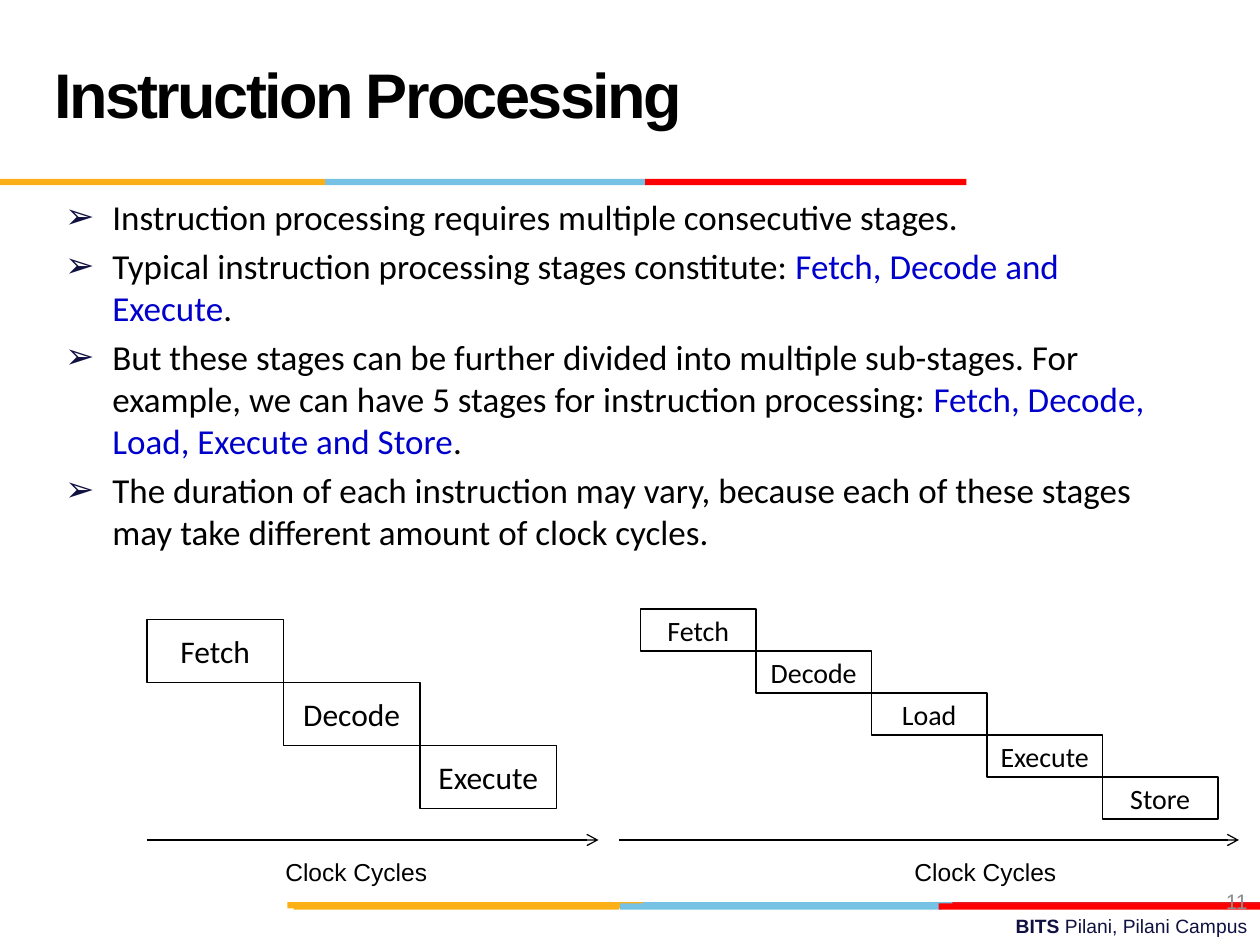
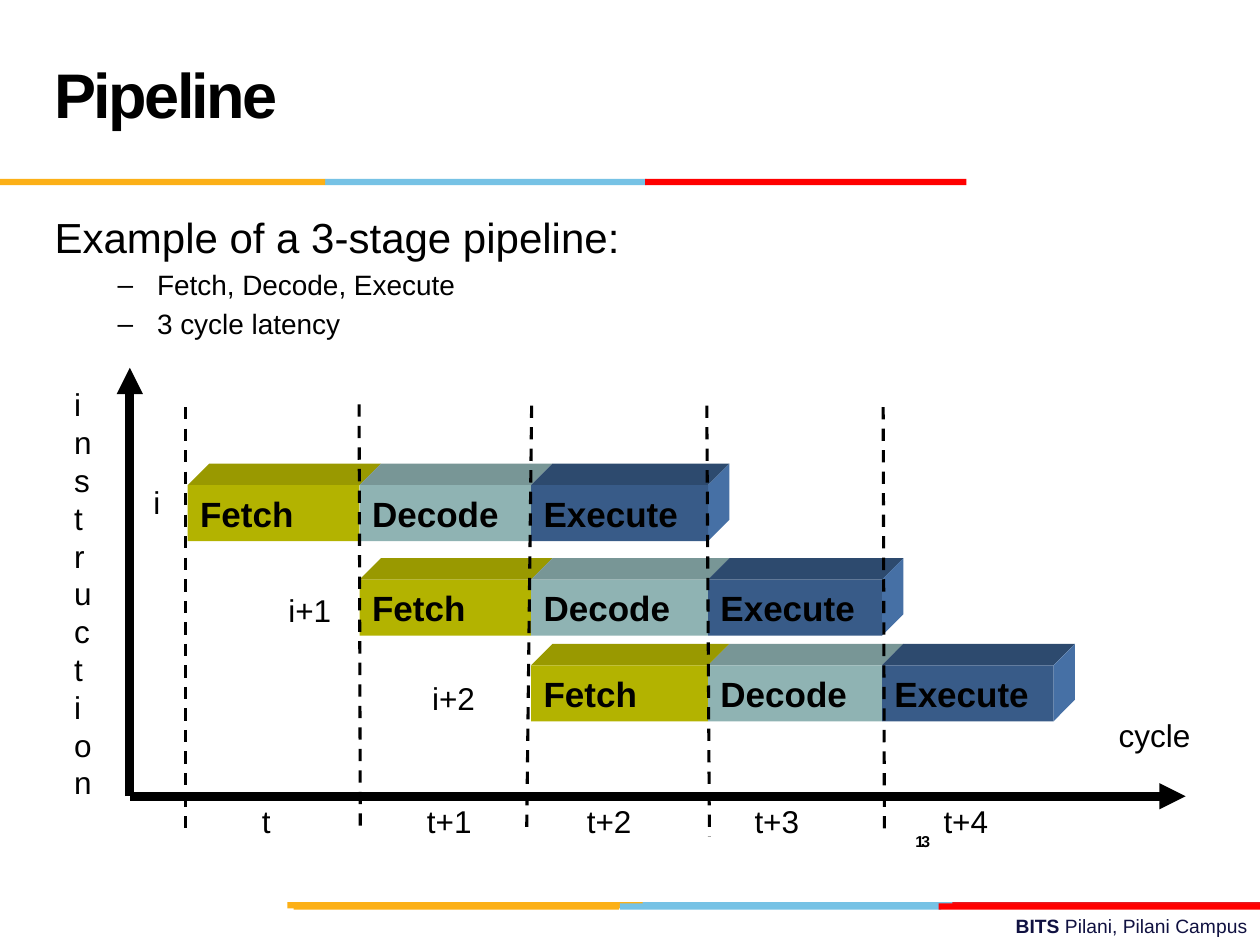
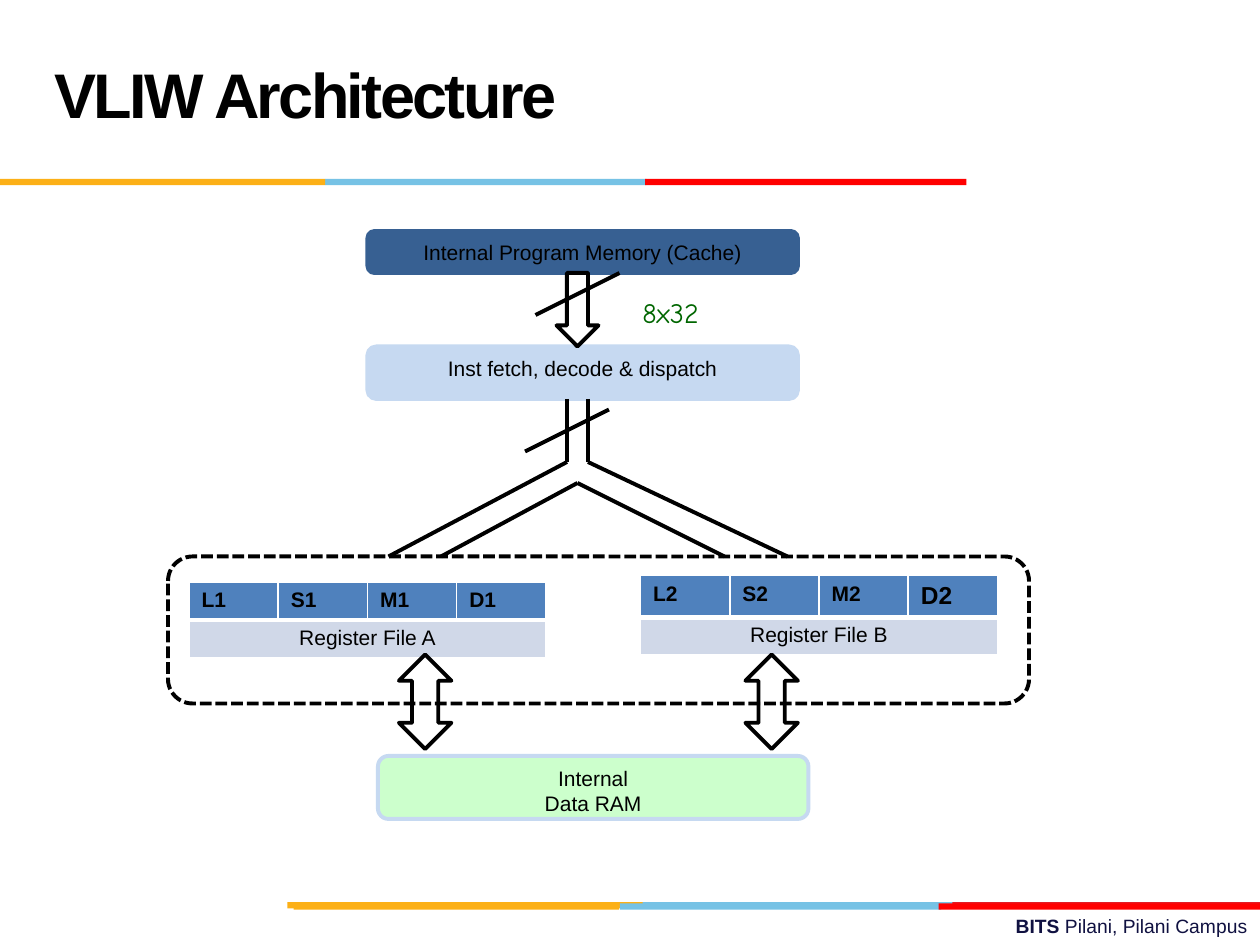
from dataclasses import dataclass, replace
from typing import NamedTuple

from lxml.etree import SubElement
from pptx import Presentation
from pptx.dml.color import RGBColor as RGB
from pptx.enum.dml import MSO_LINE as DASH
from pptx.enum.shapes import MSO_CONNECTOR as CONN, MSO_SHAPE as SHAPE
from pptx.enum.text import MSO_ANCHOR as ANCHOR, MSO_AUTO_SIZE as FIT, PP_ALIGN as ALIGN
from pptx.oxml.ns import qn
from pptx.util import Pt


@dataclass(frozen=True)
class Style:
    size: float
    color: RGB = RGB(0, 0, 0)
    bold: bool = False
    font: str = "Arial"
    tracking: int = 0


@dataclass(frozen=True)
class Theme:
    black: RGB = RGB(0, 0, 0)
    white: RGB = RGB(255, 255, 255)
    navy: RGB = RGB.from_string("101141")
    gold: RGB = RGB.from_string("FCB017")
    sky: RGB = RGB.from_string("76C2E5")
    red: RGB = RGB.from_string("FF0000")
    crimson: RGB = RGB.from_string("E31C24")
    memory: RGB = RGB.from_string("376092")
    dispatch: RGB = RGB.from_string("C6D9F1")
    ram: RGB = RGB.from_string("CCFFCC")
    unit: RGB = RGB.from_string("4F81BD")
    register: RGB = RGB.from_string("D0D8E8")
    title: Style = Style(36, bold=True, tracking=-150)
    footer: Style = Style(11, RGB.from_string("101141"))
    number: Style = Style(12, RGB.from_string("8C8C8C"))
    small_number: Style = Style(9, bold=True, tracking=-150)
    body: Style = Style(20, font="Calibri")
    accent: Style = Style(20, RGB.from_string("0000CC"), font="Calibri")
    lead: Style = Style(24)
    sub: Style = Style(16)
    stage: Style = Style(18, font="Calibri")
    small_stage: Style = Style(16, font="Calibri")
    axis: Style = Style(18)
    caption: Style = Style(14)
    block: Style = Style(20, bold=True)
    diagram: Style = Style(12)
    bus: Style = Style(16, RGB.from_string("006600"), font="Comic Neue")


T = Theme()


class Box(NamedTuple):
    x: float
    y: float
    w: float
    h: float

    def pts(self):
        return [Pt(v) for v in self]


class Item(NamedTuple):
    runs: list
    bullet: str = ""
    level: int = 0
    left: float = 27
    hang: float = 27
    before: float = 0


class Stage(NamedTuple):
    name: str
    front: RGB
    top: RGB


class RegisterFile(NamedTuple):
    name: str
    units: tuple
    box: Box
    heights: tuple
    last_style: Style


BANDS = [
    (364.3, 515.5, 183.6, T.sky), (544.3, 515.5, 175.7, T.crimson),
    (164.2, 515.5, 203, T.gold), (354.2, 516.2, 183.6, T.sky),
    (167.8, 516.2, 185.8, T.gold), (536.4, 516.2, 183.6, T.red),
    (185.8, 102.2, 183.6, T.sky), (0, 102.2, 185.8, T.gold),
    (368.6, 102.2, 183.6, T.red),
]
STAGES = [
    Stage("Fetch", RGB.from_string("B3B300"), RGB.from_string("999900")),
    Stage("Decode", RGB.from_string("8FB3B3"), RGB.from_string("789696")),
    Stage("Execute", RGB.from_string("385B88"), RGB.from_string("2D4A6E")),
]
BLOCK_SIDE = RGB.from_string("4670A5")


def set_all(obj, **values) -> None:
    for name, value in values.items():
        setattr(obj, name, value)


def add_run(p, text: str, style: Style) -> None:
    r = p.add_run()
    r.text = text
    set_all(r.font, name=style.font, size=Pt(style.size), bold=style.bold)
    r.font.color.rgb = style.color
    if style.tracking:
        r._r.get_or_add_rPr().set("spc", str(style.tracking))


def write(tf, text: str, style: Style, align=ALIGN.LEFT, anchor=ANCHOR.TOP,
          wrap=True, leading=None, margin=None) -> None:
    set_all(tf, word_wrap=wrap, vertical_anchor=anchor, auto_size=FIT.NONE)
    if margin is not None:
        sides = ("left", "top", "right", "bottom")
        set_all(tf, **{f"margin_{side}": Pt(margin) for side in sides})
    for i, line in enumerate(text.split("\n")):
        p = tf.add_paragraph() if i else tf.paragraphs[0]
        p.alignment = align
        if leading:
            p.line_spacing = Pt(leading)
        add_run(p, line, style)


def add_label(s, box: Box, text: str, style: Style, **layout):
    tb = s.shapes.add_textbox(*box.pts())
    write(tb.text_frame, text, style, **layout)
    return tb


def paint(sp, fill=None, line=None, width=1.0, dash=None) -> None:
    sp.shadow.inherit = False
    if fill is None:
        sp.fill.background()
    else:
        sp.fill.solid()
        sp.fill.fore_color.rgb = fill
    if line is None:
        sp.line.fill.background()
    else:
        sp.line.color.rgb = line
        set_all(sp.line, width=Pt(width), dash_style=dash)


def add_shape(s, kind, box: Box, **look):
    sp = s.shapes.add_shape(kind, *box.pts())
    paint(sp, **look)
    return sp


def add_line(s, start: tuple, end: tuple, width: float, dash=None, head="") -> None:
    c = s.shapes.add_connector(CONN.STRAIGHT, *[Pt(v) for v in start + end])
    c.line.color.rgb = T.black
    set_all(c.line, width=Pt(width), dash_style=dash)
    if head:
        SubElement(c.line._get_or_add_ln(), qn("a:tailEnd"), type=head)
    SubElement(c._element.spPr, qn("a:effectLst"))


def add_face(s, points: list, fill: RGB) -> None:
    pts = [(Pt(x), Pt(y)) for x, y in points]
    builder = s.shapes.build_freeform(*pts[0])
    builder.add_line_segments(pts[1:], close=True)
    paint(builder.convert_to_shape(), fill=fill)


def place(sp, box: Box) -> None:
    set_all(sp, **dict(zip(("left", "top", "width", "height"), box.pts())))


def start_slide(prs, layout: int, title: str):
    s = prs.slides.add_slide(prs.slide_layouts[layout])
    place(s.shapes.title, Box(24, 12, 498, 90))
    write(s.shapes.title.text_frame, title, T.title, anchor=ANCHOR.MIDDLE, leading=36)
    for x, y, w, color in BANDS:
        add_shape(s, SHAPE.RECTANGLE, Box(x, y, w, 3.6), fill=color)
    tb = add_label(s, Box(258, 519, 462, 21), "BITS ", replace(T.footer, bold=True),
                   align=ALIGN.RIGHT)
    add_run(tb.text_frame.paragraphs[0], "Pilani, Pilani Campus", T.footer)
    return s


def fill_body(s, box: Box, items: list) -> None:
    sp = s.placeholders[1]
    place(sp, box)
    tf = sp.text_frame
    tf.auto_size = FIT.NONE
    for i, item in enumerate(items):
        p = tf.add_paragraph() if i else tf.paragraphs[0]
        p.level = item.level
        pPr = p._p.get_or_add_pPr()
        pPr.set("marL", str(Pt(item.left)))
        pPr.set("indent", str(-Pt(item.hang)))
        if item.bullet:
            color = T.black if item.level else T.navy
            SubElement(SubElement(pPr, qn("a:buClr")), qn("a:srgbClr"), val=str(color))
            SubElement(pPr, qn("a:buFont"), typeface="Arial")
            SubElement(pPr, qn("a:buChar"), char=item.bullet)
        else:
            SubElement(pPr, qn("a:buNone"))
        p.space_before = Pt(item.before)
        for text, style in item.runs:
            add_run(p, text, style)


def add_stairs(s, names: list, first: Box, style: Style) -> None:
    for i, name in enumerate(names):
        step = first._replace(x=first.x + i * first.w, y=first.y + i * first.h)
        sp = add_shape(s, SHAPE.RECTANGLE, step, line=T.black)
        write(sp.text_frame, name, style, align=ALIGN.CENTER, anchor=ANCHOR.MIDDLE, margin=0)


def processing_slide(prs) -> None:
    s = start_slide(prs, 1, "Instruction Processing")
    texts = [
        [("Instruction processing requires multiple consecutive stages.", T.body)],
        [("Typical instruction processing stages constitute: ", T.body),
         ("Fetch, Decode and Execute", T.accent), (".", T.body)],
        [("But these stages can be further divided into multiple sub-stages. For example, "
          "we can have 5 stages for instruction processing: ", T.body),
         ("Fetch, Decode, Load, Execute and Store", T.accent), (".", T.body)],
        [("The duration of each instruction may vary, because each of these stages may take "
          "different amount of clock cycles.", T.body)],
    ]
    fill_body(s, Box(30, 108, 648, 222),
              [Item(runs, "➢", before=4 if i else 0) for i, runs in enumerate(texts)])
    add_label(s, Box(552, 500.4, 168, 28.8), "11", T.number,
              align=ALIGN.RIGHT, anchor=ANCHOR.MIDDLE)
    add_stairs(s, ["Fetch", "Decode", "Execute"], Box(84, 354, 78, 36), T.stage)
    add_stairs(s, ["Fetch", "Decode", "Load", "Execute", "Store"],
               Box(366, 348, 66, 24), T.small_stage)
    for start, end, label in [(84, 342, 156), (354, 708, 515.5)]:
        add_line(s, (start, 480), (end, 480), 0.75, head="arrow")
        add_label(s, Box(label, 486, 96.5, 24.5), "Clock Cycles", T.caption, wrap=False)


def add_block(s, stage: Stage, box: Box, last: bool) -> None:
    depth = 12.2
    x, y, right, bottom = box.x, box.y, box.x + box.w, box.y + box.h
    add_face(s, [(x, y), (x + depth, y - depth), (right + depth, y - depth), (right, y)],
             stage.top)
    if last:
        add_face(s, [(right, y), (right + depth, y - depth),
                     (right + depth, bottom - depth), (right, bottom)], BLOCK_SIDE)
    sp = add_shape(s, SHAPE.RECTANGLE, box, fill=stage.front)
    write(sp.text_frame, stage.name, T.block, anchor=ANCHOR.MIDDLE)


def pipeline_slide(prs) -> None:
    s = start_slide(prs, 1, "Pipeline")
    subs = ["Fetch, Decode, Execute", "3 cycle latency"]
    fill_body(s, Box(24, 117.4, 648, 92),
              [Item([("Example of a 3-stage pipeline:", T.lead)])]
              + [Item([(text, T.sub)], "–", 1, 58.5, 22.5, 3.2) for text in subs])
    add_label(s, Box(516, 450, 168, 36), "13", T.small_number,
              anchor=ANCHOR.MIDDLE, leading=36)
    add_label(s, Box(632.2, 405.4, 55.4, 28.8), "cycle", T.axis)

    edges = [107.3, 205.5, 303.5, 404.6, 504, 602]
    for row, y in enumerate([277.2, 331.2, 380.2]):
        for col, stage in enumerate(STAGES):
            x, right = edges[row + col:row + col + 2]
            add_block(s, stage, Box(x, y, right - x, 32), col == len(STAGES) - 1)

    origin = (74.2, 455)
    for end in [(74.2, 210.2), (677.5, 455)]:
        add_line(s, origin, end, 5, head="triangle")
    add_label(s, Box(35.3, 216.7, 23, 244.8), "instruction", T.axis)
    for x1, y1, x2, y2 in [(205.2, 231.1, 205.9, 473), (303.8, 231.8, 301, 473),
                           (403.9, 231.8, 405.4, 478), (504.7, 232.6, 505.4, 478),
                           (105.8, 232.6, 105.8, 473)]:
        add_line(s, (x1, y1), (x2, y2), 1.75, dash=DASH.DASH)
    for text, x, y, w in [("t", 142.6, 455, 19.4), ("t+1", 236.9, 455, 40.3),
                          ("t+2", 328.3, 455, 40.3), ("t+3", 424.1, 455, 40.3),
                          ("t+4", 532.1, 455, 40.3), ("i", 80.6, 272.2, 18.7),
                          ("i+1", 157.7, 334.1, 38.9), ("i+2", 239.8, 384.5, 38.9)]:
        add_label(s, Box(x, y, w, 28.8), text, T.axis, wrap=False)


def set_cell(cell, text: str, style: Style, fill: RGB, bottom: float, align=ALIGN.LEFT) -> None:
    tcPr = cell._tc.get_or_add_tcPr()
    for side, width in [("L", 1), ("R", 1), ("T", 1), ("B", bottom)]:
        ln = SubElement(tcPr, qn(f"a:ln{side}"), w=str(Pt(width)))
        SubElement(SubElement(ln, qn("a:solidFill")), qn("a:srgbClr"), val=str(T.white))
    cell.fill.solid()
    cell.fill.fore_color.rgb = fill
    p = cell.text_frame.paragraphs[0]
    p.alignment = align
    add_run(p, text, style)


def add_register_file(s, rf: RegisterFile) -> None:
    count = len(rf.units)
    table = s.shapes.add_table(2, count, *rf.box.pts()).table
    for col in table.columns:
        col.width = Pt(rf.box.w / count)
    for row, height in zip(table.rows, rf.heights):
        row.height = Pt(height)
    for i, unit in enumerate(rf.units):
        style = rf.last_style if i == count - 1 else replace(T.diagram, bold=True)
        set_cell(table.cell(0, i), unit, style, T.unit, 3)
    table.cell(1, 0).merge(table.cell(1, count - 1))
    set_cell(table.cell(1, 0), rf.name, T.diagram, T.register, 1, ALIGN.CENTER)


def vliw_slide(prs) -> None:
    s = start_slide(prs, 5, "VLIW Architecture")
    outline = dict(line=T.black, width=2.25)
    for text, box, fill, line in [
        ("Internal Program Memory (Cache)", Box(210, 132, 246, 24), T.memory, T.memory),
        ("Inst fetch, decode & dispatch", Box(210, 198, 246, 30), T.dispatch, T.dispatch),
        ("Internal\nData RAM", Box(216, 432, 246, 36), T.ram, T.dispatch),
    ]:
        sp = add_shape(s, SHAPE.ROUNDED_RECTANGLE, box, fill=fill, line=line, width=2.25)
        write(sp.text_frame, text, T.diagram, align=ALIGN.CENTER)
    add_shape(s, SHAPE.DOWN_ARROW, Box(318, 156, 24, 42), **outline)
    add_label(s, Box(360, 165.6, 108, 26.6), "8x32", T.bus)
    add_shape(s, SHAPE.ROUNDED_RECTANGLE, Box(96, 318, 492, 84),
              dash=DASH.SQUARE_DOT, **outline)
    for start, end in [((306, 180), (354, 156)), ((300, 258), (348, 234)),
                       ((324, 228), (324, 264)), ((336, 228), (336, 264)),
                       ((324, 264), (222, 318)), ((336, 264), (450, 318)),
                       ((330, 276), (252, 318)), ((330, 276), (414, 318))]:
        add_line(s, start, end, 2.25)
    for rf in [
        RegisterFile("Register File A", ("L1", "S1", "M1", "D1"), Box(108, 332.6, 204, 43.2),
                     (21.6, 21.6), Style(12, bold=True)),
        RegisterFile("Register File B", ("L2", "S2", "M2", "D2"), Box(366, 329, 204, 45.4),
                     (23.8, 21.6), Style(14, bold=True)),
    ]:
        add_register_file(s, rf)
    for x in (228, 426):
        add_shape(s, SHAPE.UP_DOWN_ARROW, Box(x, 374, 30, 54), **outline)


def main() -> None:
    prs = Presentation()
    set_all(prs, slide_width=Pt(720), slide_height=Pt(540))
    for build in (processing_slide, pipeline_slide, vliw_slide):
        build(prs)
    prs.save("out.pptx")


if __name__ == "__main__":
    main()
